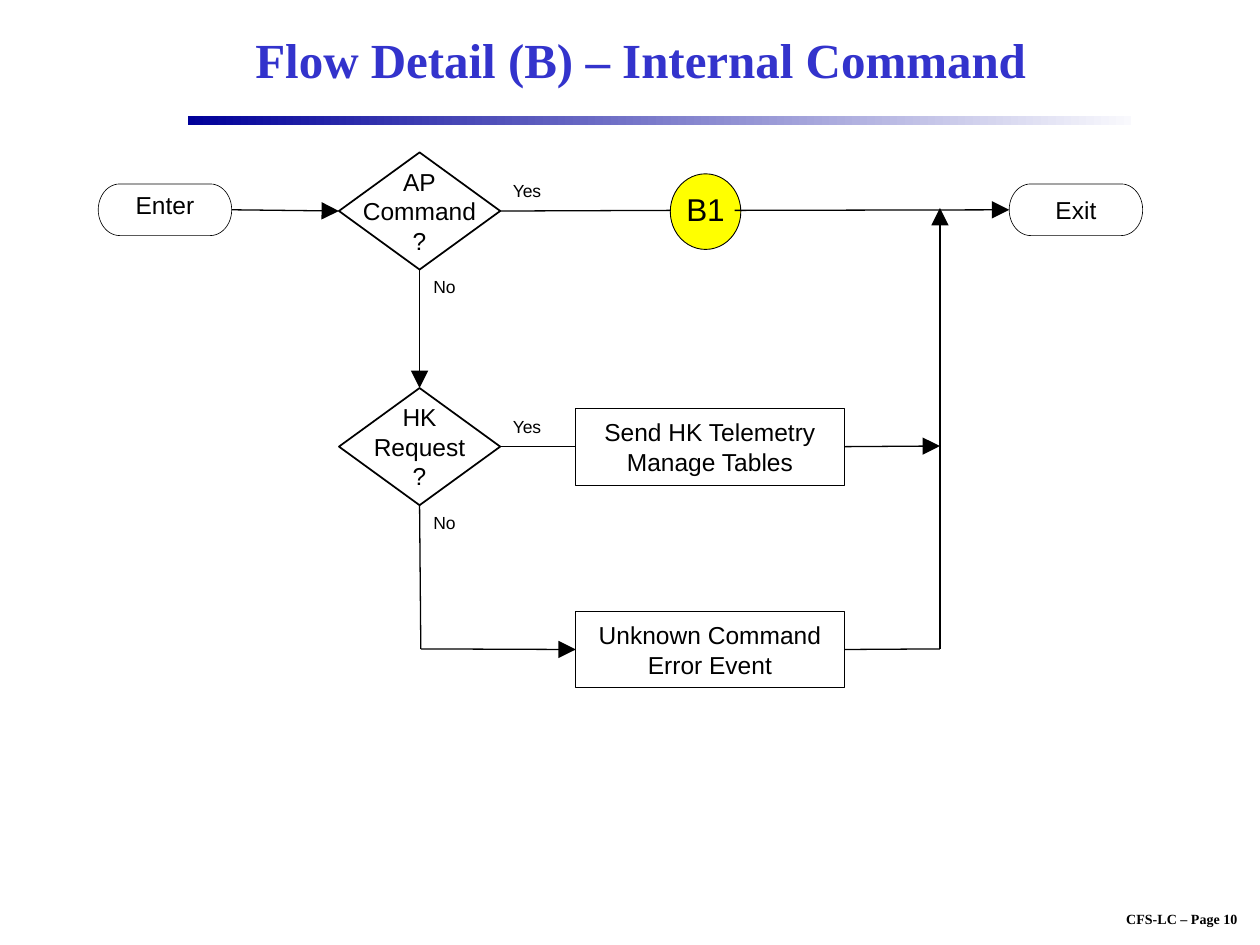
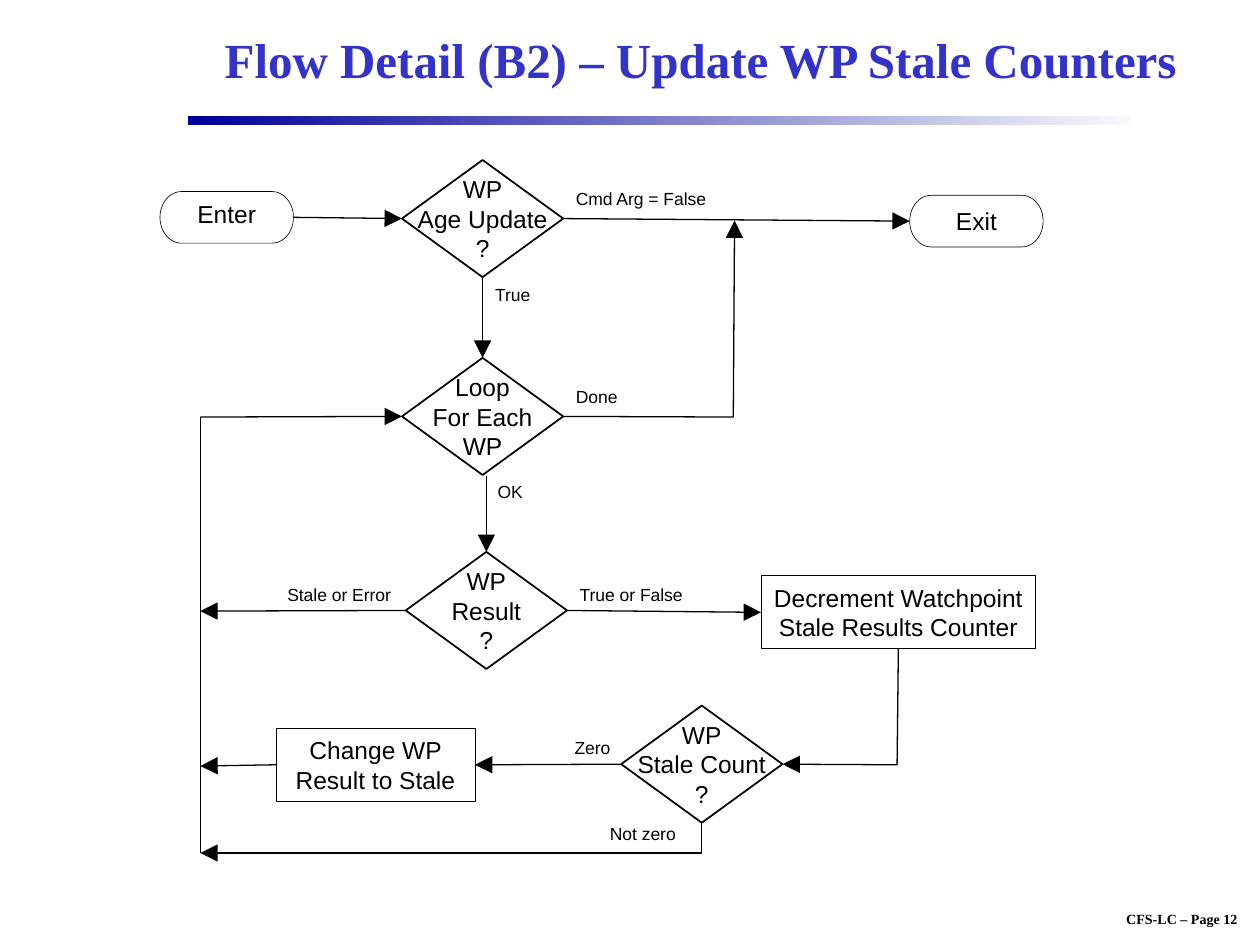
from enum import IntEnum

from lxml import etree
from pptx import Presentation
from pptx.dml.color import RGBColor
from pptx.enum.shapes import MSO_CONNECTOR, MSO_SHAPE
from pptx.enum.text import MSO_ANCHOR, PP_ALIGN
from pptx.oxml.ns import qn
from pptx.util import Inches, Pt

BLACK = RGBColor(0x00, 0x00, 0x00)
TITLE_BLUE = RGBColor(0x33, 0x33, 0xCC)
BAND_START = RGBColor(0x00, 0x00, 0x99)
BAND_END = RGBColor(0xF9, 0xF9, 0xFD)
YELLOW = RGBColor(0xFF, 0xFF, 0x00)
SERIF = "Times New Roman"
SANS = "Arial"

DIAMOND_SIZE = (1.28, 0.93)
TERMINATOR_SIZE = (1.06, 0.41)
LABEL_HEIGHT = 0.27
LABEL_GAP = 0.1


class Side(IntEnum):
    """Connection sites shared by diamonds, rectangles and terminators."""
    TOP = 0
    LEFT = 1
    BOTTOM = 2
    RIGHT = 3


def write(box, text, size, font=SANS, color=BLACK, bold=False,
          align=PP_ALIGN.CENTER, wrap=True, side_inset=0.1, lift=0):
    """Fill a box with one paragraph per line; lift raises the text."""
    frame = box.text_frame
    frame.word_wrap = wrap
    frame.vertical_anchor = MSO_ANCHOR.MIDDLE
    frame.margin_left = frame.margin_right = Inches(side_inset)
    frame.margin_top = 0
    frame.margin_bottom = Inches(2 * lift)
    for index, line in enumerate(text.split("\n")):
        para = frame.paragraphs[0] if index == 0 else frame.add_paragraph()
        para.alignment = align
        span = para.add_run()
        span.text = line
        span.font.name = font
        span.font.size = Pt(size)
        span.font.bold = bold
        span.font.color.rgb = color


def add_text(page, x, y, width, height, text, size, **style):
    box = page.shapes.add_textbox(Inches(x), Inches(y), Inches(width), Inches(height))
    write(box, text, size, **style)


def add_outlined(page, kind, x, y, width, height, weight, fill=None):
    shape = page.shapes.add_shape(kind, Inches(x), Inches(y), Inches(width), Inches(height))
    shape.shadow.inherit = False
    if fill is None:
        shape.fill.background()
    else:
        shape.fill.solid()
        shape.fill.fore_color.rgb = fill
    shape.line.color.rgb = BLACK
    shape.line.width = Pt(weight)
    return shape


def add_decision(page, x, y, text):
    shape = add_outlined(page, MSO_SHAPE.DIAMOND, x, y, *DIAMOND_SIZE, weight=1)
    write(shape, text, 14, wrap=False, side_inset=0)
    return shape


def add_step(page, x, y, width, height, text):
    shape = add_outlined(page, MSO_SHAPE.RECTANGLE, x, y, width, height, weight=0.5)
    write(shape, text, 14)
    return shape


def add_terminator(page, x, y, text, lift=0):
    shape = add_outlined(page, MSO_SHAPE.FLOWCHART_TERMINATOR, x, y,
                         *TERMINATOR_SIZE, weight=0.37)
    write(shape, text, 14, side_inset=0, lift=lift)
    return shape


def add_label(page, x, y, width, text):
    """Label a branch that leaves its shape at x, with spare room on the right."""
    add_text(page, x + LABEL_GAP, y, width, LABEL_HEIGHT, text, 10,
             align=PP_ALIGN.LEFT, side_inset=0)


def add_arrowhead(line):
    etree.SubElement(line.line._get_or_add_ln(), qn("a:tailEnd"),
                     type="triangle", w="lg", len="lg")


def add_route(page, *stops, arrow=True):
    """Join stops with straight lines; a stop is (shape, Side) or (x, y)."""
    for start, end in zip(stops, stops[1:]):
        line = page.shapes.add_connector(MSO_CONNECTOR.STRAIGHT, 0, 0, 0, 0)
        line.line.color.rgb = BLACK
        line.line.width = Pt(0.75)
        if isinstance(start[1], Side):
            line.begin_connect(*start)
        else:
            line.begin_x, line.begin_y = map(Inches, start)
        if isinstance(end[1], Side):
            line.end_connect(*end)
        else:
            line.end_x, line.end_y = map(Inches, end)
        etree.SubElement(line._element.spPr, qn("a:effectLst"))
    if arrow:
        add_arrowhead(line)


def add_page(deck, title, title_width, number):
    page = deck.slides.add_slide(deck.slide_layouts[6])
    add_text(page, 8.64, 7.18, 1.48, 0.23, f"CFS-LC – Page {number}", 8,
             font=SERIF, bold=True, wrap=False)
    band = page.shapes.add_shape(MSO_SHAPE.RECTANGLE, Inches(1.49), Inches(0.92),
                                 Inches(7.49), Inches(0.07))
    band.shadow.inherit = False
    band.line.fill.background()
    band.fill.gradient()
    band.fill.gradient_angle = 0
    for stop, position, color in zip(band.fill.gradient_stops, (0, 1), (BAND_START, BAND_END)):
        stop.position = position
        stop.color.rgb = color
    add_text(page, 1.5, 0.09, title_width, 0.75, title, 28,
             font=SERIF, color=TITLE_BLUE, bold=True)
    return page


def build_internal_command(deck):
    page = add_page(deck, "Flow Detail (B) – Internal Command", 7.17, 10)
    enter = add_terminator(page, 0.78, 1.46, "Enter", lift=0.04)
    leave = add_terminator(page, 8.01, 1.46, "Exit")
    command = add_decision(page, 2.69, 1.21, "AP\nCommand\n?")
    request = add_decision(page, 2.69, 3.08, "HK\nRequest\n?")
    telemetry = add_step(page, 4.57, 3.24, 2.13, 0.61, "Send HK Telemetry\nManage Tables")
    unknown = add_step(page, 4.57, 4.85, 2.13, 0.61, "Unknown Command\nError Event")
    detail = add_outlined(page, MSO_SHAPE.OVAL, 5.32, 1.38, 0.56, 0.6, 0.5, YELLOW)
    write(detail, "B1", 18, wrap=False, side_inset=0, lift=0.02)

    for y in (1.38, 3.25):
        add_label(page, 3.97, y, 0.44, "Yes")
        add_label(page, 3.34, y + 0.76, 0.37, "No")

    merge_x = 7.46
    add_route(page, (enter, Side.RIGHT), (command, Side.LEFT))
    add_route(page, (command, Side.RIGHT), (5.32, 1.67), arrow=False)
    add_route(page, (5.83, 1.67), (leave, Side.LEFT))
    add_route(page, (command, Side.BOTTOM), (request, Side.TOP))
    add_route(page, (request, Side.RIGHT), (telemetry, Side.LEFT), arrow=False)
    add_route(page, (telemetry, Side.RIGHT), (merge_x, 3.54))
    add_route(page, (request, Side.BOTTOM), (3.34, 5.15), (unknown, Side.LEFT))
    add_route(page, (unknown, Side.RIGHT), (merge_x, 5.15), (merge_x, 1.65))


def build_stale_counters(deck):
    page = add_page(deck, "Flow Detail (B2) – Update WP Stale Counters", 8.12, 12)
    enter = add_terminator(page, 1.27, 1.52, "Enter", lift=0.03)
    leave = add_terminator(page, 7.22, 1.55, "Exit")
    update = add_decision(page, 3.19, 1.27, "WP\nAge Update\n?")
    loop = add_decision(page, 3.19, 2.84, "Loop\nFor Each\nWP")
    result = add_decision(page, 3.22, 4.38, "WP\nResult\n?")
    count = add_decision(page, 4.93, 5.6, "WP\nStale Count\n?")
    decrement = add_step(page, 6.04, 4.57, 2.18, 0.58,
                         "Decrement Watchpoint Stale Results Counter")
    change = add_step(page, 2.19, 5.78, 1.58, 0.58, "Change WP Result to Stale")

    for x, y, width, text in (
        (4.47, 1.44, 1.24, "Cmd Arg = False"),
        (3.83, 2.2, 0.48, "True"),
        (4.47, 3.01, 0.53, "Done"),
        (3.85, 3.77, 0.4, "OK"),
        (2.18, 4.58, 1.02, "Stale or Error"),
        (4.5, 4.58, 1.02, "True or False"),
        (4.46, 5.8, 0.48, "Zero"),
        (4.74, 6.48, 0.72, "Not zero"),
    ):
        add_label(page, x, y, width, text)

    return_x, return_y = 1.59, 6.77
    add_route(page, (enter, Side.RIGHT), (update, Side.LEFT))
    add_route(page, (update, Side.RIGHT), (leave, Side.LEFT))
    add_route(page, (update, Side.BOTTOM), (loop, Side.TOP))
    add_route(page, (loop, Side.RIGHT), (5.82, 3.31), (5.83, 1.75))
    add_route(page, (3.86, 3.78), (result, Side.TOP))
    add_route(page, (result, Side.LEFT), (return_x, 4.85))
    add_route(page, (result, Side.RIGHT), (decrement, Side.LEFT))
    add_route(page, (decrement, Side.BOTTOM), (7.12, 6.07), (count, Side.RIGHT))
    add_route(page, (count, Side.LEFT), (change, Side.RIGHT))
    add_route(page, (change, Side.LEFT), (return_x, 6.08))
    add_route(page, (count, Side.BOTTOM), (5.57, return_y), (return_x, return_y))
    add_route(page, (return_x, return_y), (return_x, 3.31), (loop, Side.LEFT))


def main():
    deck = Presentation()
    deck.slide_width = Inches(10)
    deck.slide_height = Inches(7.5)
    build_internal_command(deck)
    build_stale_counters(deck)
    deck.save("out.pptx")


if __name__ == "__main__":
    main()
